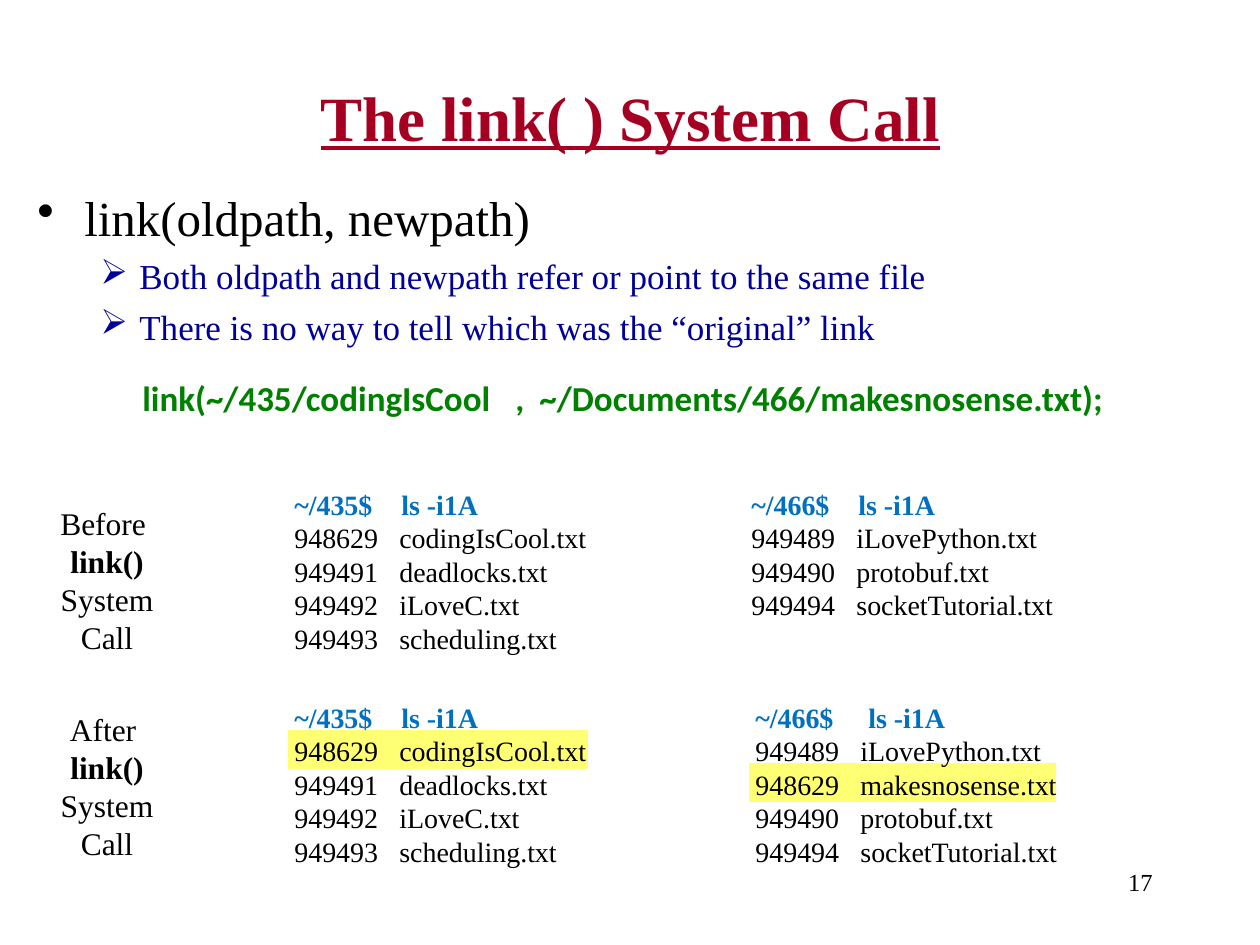
from lxml.etree import SubElement
from pptx import Presentation
from pptx.dml.color import RGBColor
from pptx.enum.shapes import MSO_SHAPE as Shape
from pptx.enum.text import MSO_ANCHOR as Anchor, PP_ALIGN as Align
from pptx.oxml.ns import qn
from pptx.util import Emu, Pt

EMU_PER_PX = 914400 / 126
BLACK = RGBColor(0x00, 0x00, 0x00)
CRIMSON = RGBColor(0xA5, 0x00, 0x21)
NAVY = RGBColor(0x00, 0x00, 0x99)
GREEN = RGBColor(0x00, 0x80, 0x00)
BLUE = RGBColor(0x00, 0x70, 0xC0)
YELLOW = RGBColor(0xFF, 0xFF, 0x00)

FILES_435 = ["948629\tcodingIsCool.txt", "949491\tdeadlocks.txt",
             "949492\tiLoveC.txt", "949493\tscheduling.txt"]
FILES_466 = ["949489\tiLovePython.txt", "949490\tprotobuf.txt",
             "949494\tsocketTutorial.txt"]
FILES_466_LINKED = [FILES_466[0], "948629\tmakesnosense.txt", *FILES_466[1:]]


def px(length):
    return Emu(round(length * EMU_PER_PX))


def add_box(page, left, top, width, height, anchor=Anchor.TOP):
    """Add a wrapping text box and return its text frame."""
    box = page.shapes.add_textbox(px(left), px(top), px(width), px(height))
    frame = box.text_frame
    frame.word_wrap = True
    frame.vertical_anchor = anchor
    return frame


def write(frame, text, size=16, font="Times New Roman", color=BLACK, bold=False,
          underline=False, align=Align.LEFT, before=0, bullet=None,
          indent=0, hang=0, tabs=()):
    """Write one paragraph, filling the empty first one if it is unused."""
    first = frame.paragraphs[0]
    para = frame.add_paragraph() if first.runs else first
    para.alignment = align
    para.space_before = Pt(before)
    span = para.add_run()
    span.text = text
    span.font.size = Pt(size)
    span.font.name = font
    span.font.bold = bold
    span.font.underline = underline
    span.font.color.rgb = color
    props = para._p.get_or_add_pPr()
    if bullet:
        props.set("marL", str(px(indent)))
        props.set("indent", str(-px(hang)))
        SubElement(props, qn("a:buChar"), char=bullet)
    if tabs:
        stops = SubElement(props, qn("a:tabLst"))
        for stop in tabs:
            SubElement(stops, qn("a:tab"), pos=str(px(stop)), algn="l")


def add_title(page, left, top, width, height):
    frame = add_box(page, left, top, width, height, Anchor.MIDDLE)
    write(frame, "The link( ) System Call", size=36, color=CRIMSON, bold=True,
          underline=True, align=Align.CENTER)


def add_points(page, left, top, width, height):
    frame = add_box(page, left, top, width, height)
    write(frame, "link(oldpath, newpath)", size=28, before=5, bullet="•",
          indent=47, hang=47)
    for point in ("Both oldpath and newpath refer or point to the same file",
                  "There is no way to tell which was the “original” link"):
        write(frame, point, size=20, color=NAVY, before=5, bullet="➢",
              indent=102, hang=39)


def add_command(page, left, top, width, height):
    frame = add_box(page, left, top, width, height)
    write(frame, "link(~/435/codingIsCool\t,\t~/Documents/466/makesnosense.txt);",
          size=20, font="Calibri", color=GREEN, bold=True, before=5, tabs=(373, 397))


def add_highlight(page, left, top, width, height):
    bar = page.shapes.add_shape(Shape.RECTANGLE, px(left), px(top), px(width), px(height))
    bar.shadow.inherit = False
    bar.fill.solid()
    bar.fill.fore_color.rgb = YELLOW
    bar.line.fill.background()
    color = bar.fill._xPr.find(qn("a:solidFill"))[0]
    SubElement(color, qn("a:alpha"), val="55000")


def add_state_label(page, left, top, width, height, moment):
    frame = add_box(page, left, top, width, height)
    for text, bold in ((moment, False), ("link()", True), ("System Call", False)):
        write(frame, text, size=18, bold=bold, align=Align.CENTER)


def add_listing(page, left, top, width, folder, files, command_tab=107,
                marked_row=None, marked_width=300):
    """Add a directory listing; marked_row counts from the prompt line."""
    if marked_row:
        add_highlight(page, left + 6, top + 3 + 33 * marked_row, marked_width, 39)
    frame = add_box(page, left, top, width, 14 + 34 * (len(files) + 1))
    write(frame, f"~/{folder}$\tls -i1A", color=BLUE, bold=True, tabs=(command_tab,))
    for entry in files:
        write(frame, entry, tabs=(105,))


def add_page_number(page, left, top, width, height):
    write(add_box(page, left, top, width, height), "17", size=14, align=Align.RIGHT)


def main():
    deck = Presentation()
    deck.slide_width, deck.slide_height = px(1260), px(945)
    page = deck.slides.add_slide(deck.slide_layouts[6])

    add_title(page, 95, 37, 1071, 158)
    add_points(page, 25, 181, 1221, 181)
    add_command(page, 130, 370, 1032, 76)

    add_state_label(page, 35, 498, 144, 165, "Before ")
    add_listing(page, 282, 481, 328, "435", FILES_435)
    add_listing(page, 739, 481, 357, "466", FILES_466)

    add_state_label(page, 35, 704, 144, 165, "After ")
    add_listing(page, 282, 694, 328, "435", FILES_435, marked_row=1)
    add_listing(page, 743, 694, 357, "466", FILES_466_LINKED, command_tab=113,
                marked_row=2, marked_width=307)

    add_page_number(page, 903, 861, 262, 63)
    deck.save("out.pptx")


if __name__ == "__main__":
    main()
